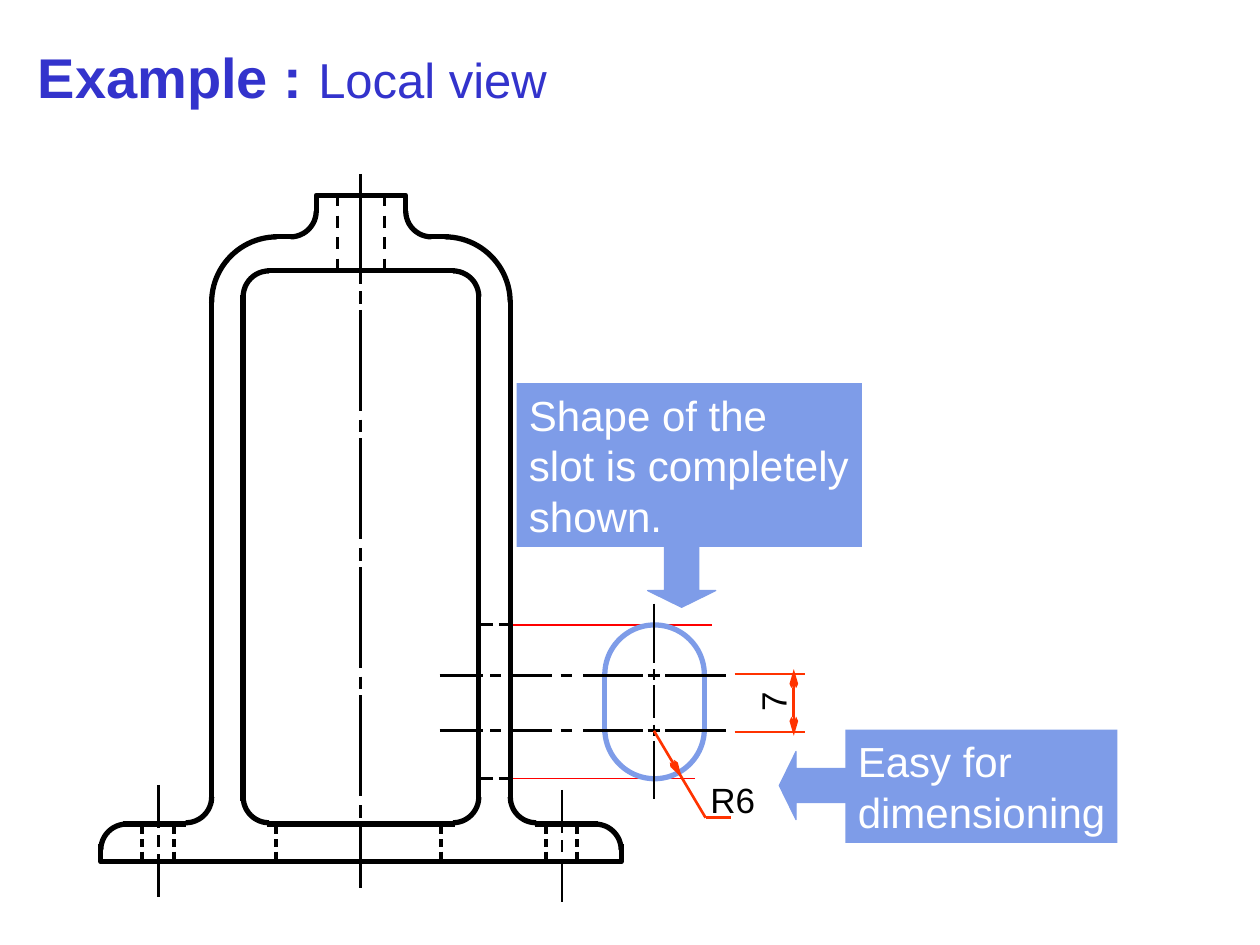
import dataclasses

import pptx
import pptx.dml.color
import pptx.enum.dml
import pptx.enum.shapes
import pptx.enum.text
import pptx.oxml
import pptx.oxml.ns
import pptx.util

SHAPE = pptx.enum.shapes.MSO_SHAPE
COLUMNS, ROWS = 100, 75


@dataclasses.dataclass(frozen=True)
class Theme:
    font: str = "Arial"
    title: str = "3333CC"
    ink: str = "000000"
    callout: str = "7E9CE8"
    callout_text: str = "FFFFFF"
    projection: str = "FF0000"
    dimension: str = "FF3300"
    title_size: float = 32
    subtitle_size: float = 28
    callout_size: float = 24
    label_size: float = 20
    outline: float = 3
    hidden: float = 2.25
    fine_hidden: float = 1.75
    centre: float = 1.5
    thin: float = 0.75


def rgb(value):
    return pptx.dml.color.RGBColor.from_string(value)


def add_text(paragraph, text, *, font, size, color, bold=False):
    run = paragraph.add_run()
    run.text = text
    run.font.name = font
    run.font.size = pptx.util.Pt(size)
    run.font.bold = bold
    run.font.color.rgb = rgb(color)


class Drawing:
    def __init__(self, presentation, theme):
        self.theme = theme
        self.slide = presentation.slides.add_slide(presentation.slide_layouts[5])
        self.column = presentation.slide_width / COLUMNS
        self.row = presentation.slide_height / ROWS

    def place(self, column, row):
        return round(column * self.column), round(row * self.row)

    def box(self, left, top, width, height):
        return *self.place(left, top), *self.place(width, height)

    def style_line(self, shape, color, weight):
        shape.line.color.rgb = rgb(color)
        shape.line.width = pptx.util.Pt(weight)

    def style_frame(self, frame):
        frame.word_wrap = False
        frame.auto_size = pptx.enum.text.MSO_AUTO_SIZE.NONE
        frame.vertical_anchor = pptx.enum.text.MSO_ANCHOR.TOP
        frame.paragraphs[0].alignment = pptx.enum.text.PP_ALIGN.LEFT

    def title(self, area, heading, subject):
        title = self.slide.shapes.title
        title.left, title.top, title.width, title.height = self.box(*area)
        self.style_frame(title.text_frame)
        paragraph = title.text_frame.paragraphs[0]
        style = {"font": self.theme.font, "color": self.theme.title}
        add_text(paragraph, heading, size=self.theme.title_size, bold=True, **style)
        add_text(paragraph, subject, size=self.theme.subtitle_size, **style)

    def line(self, start, end, color, weight, heads=(), dashed=False):
        line = self.slide.shapes.add_connector(
            pptx.enum.shapes.MSO_CONNECTOR.STRAIGHT, *self.place(*start), *self.place(*end))
        self.style_line(line, color, weight)
        if dashed:
            line.line.dash_style = pptx.enum.dml.MSO_LINE.DASH
        for head in heads:
            line.line._get_or_add_ln().append(pptx.oxml.parse_xml(
                f'<a:{head} {pptx.oxml.ns.nsdecls("a")} type="arrow" w="sm" len="lg"/>'))
        line._element.spPr.append(pptx.oxml.parse_xml(
            f'<a:effectLst {pptx.oxml.ns.nsdecls("a")}/>'))

    def verticals(self, column, spans, weight):
        for top, bottom in spans:
            self.line((column, top), (column, bottom), self.theme.ink, weight)

    def horizontals(self, row, spans, weight):
        for left, right in spans:
            self.line((left, row), (right, row), self.theme.ink, weight)

    def arc(self, left, top, diameter, start, sweep, color):
        arc = self.slide.shapes.add_shape(SHAPE.ARC, *self.box(left, top, diameter, diameter))
        arc.adjustments[0] = start * 0.6
        arc.adjustments[1] = (start + sweep) % 360 * 0.6
        arc.shadow.inherit = False
        arc.fill.background()
        self.style_line(arc, color, self.theme.outline)

    def outline(self, points):
        places = [self.place(*point) for point in points]
        builder = self.slide.shapes.build_freeform(*places[0])
        builder.add_line_segments(places[1:], close=False)
        shape = builder.convert_to_shape()
        shape.shadow.inherit = False
        shape.fill.background()
        self.style_line(shape, self.theme.ink, self.theme.outline)

    def label(self, area, text, rotation=0):
        label = self.slide.shapes.add_textbox(*self.box(*area))
        label.rotation = rotation
        self.style_frame(label.text_frame)
        add_text(label.text_frame.paragraphs[0], text, font=self.theme.font,
                 size=self.theme.label_size, color=self.theme.ink)

    def callout(self, area, lines, arrow_area, rotation=0):
        panel = self.slide.shapes.add_shape(SHAPE.RECTANGLE, *self.box(*area))
        arrow = self.slide.shapes.add_shape(SHAPE.DOWN_ARROW, *self.box(*arrow_area))
        for shape in (panel, arrow):
            shape.shadow.inherit = False
            shape.fill.solid()
            shape.fill.fore_color.rgb = rgb(self.theme.callout)
        panel.line.fill.background()
        self.style_line(arrow, self.theme.callout, self.theme.thin)
        arrow.adjustments[1] = 0.25
        arrow.rotation = rotation
        frame = panel.text_frame
        self.style_frame(frame)
        for index, text in enumerate(lines):
            paragraph = frame.add_paragraph() if index else frame.paragraphs[0]
            paragraph.alignment = pptx.enum.text.PP_ALIGN.LEFT
            add_text(paragraph, text, font=self.theme.font,
                     size=self.theme.callout_size, color=self.theme.callout_text)


def draw_slot(drawing):
    theme = drawing.theme
    for top, start in ((49.6, 180), (53.9, 0)):
        drawing.arc(48, top, 7.9, start, 180, theme.callout)
    for column in (48, 55.9):
        drawing.line((column, 53.4), (column, 58.2), theme.callout, theme.outline)
    drawing.verticals(51.9, ((47.9, 52.6), (53.1, 54), (54.4, 57), (57.5, 58.4),
                             (58.8, 63.4)), theme.centre)
    for row in (53.6, 58):
        drawing.horizontals(row, ((34.9, 38.3), (38.9, 39.8), (40.4, 43.8), (44.5, 45.4),
                                  (46.3, 51), (51.4, 52.4), (52.8, 57.6)), theme.centre)


def draw_bracket(drawing):
    theme = drawing.theme
    axis = 28.65
    arcs = ((12.7, 61.2, 4.1, 0), (8, 65.4, 4.1, 180), (16.8, 18.8, 10.4, 180),
            (21, 14.7, 4.1, 0), (19.3, 61.2, 4.1, 90), (19.3, 21.5, 4.1, 180))
    for left, top, diameter, start in arcs:
        drawing.arc(left, top, diameter, start, 90, theme.ink)
        drawing.arc(2 * axis - left - diameter, top, diameter,
                    (90 - start) % 360, 90, theme.ink)
    profile = (((9.8, 65.4), (14.8, 65.4)), ((16.8, 63.7), (16.8, 23.8)),
               ((21.7, 18.8), (23.1, 18.8)), ((19.3, 23.4), (19.3, 63.6)),
               ((8, 67), (8, 68.4), (axis, 68.4)), ((25.1, 16.8), (25.1, 15.5), (axis, 15.5)),
               ((21.2, 65.4), (axis, 65.4)), ((21.2, 21.5), (axis, 21.5)))
    for points in profile:
        drawing.outline(points)
        drawing.outline([(2 * axis - column, row) for column, row in points])

    for column in (11.3, 13.8, 21.9, 35, 43.3, 45.8):
        drawing.verticals(column, ((65.5, 66.2), (66.6, 67.2), (67.6, 68.3)), theme.hidden)
    for row in (49.6, 61.8):
        drawing.horizontals(row, ((38.2, 39.1), (39.6, 40.5)), theme.fine_hidden)
    for column in (26.8, 30.5):
        drawing.line((column, 15.4), (column, 21.6), theme.ink, theme.fine_hidden, dashed=True)
    for column, top in ((12.6, 62.3), (44.6, 62.7)):
        drawing.verticals(column, [(top + start, top + end) for start, end in
                                   ((0, 3.4), (4, 4.9), (5.5, 8.9))], theme.centre)
    period = 10.2
    long_dashes = [(24.6 + period * step, 32.6 + period * step) for step in range(4)]
    short_dashes = [(23.1 + period * step, 24.1 + period * step) for step in range(5)]
    drawing.verticals(28.6, [(13.8, 22.5), *long_dashes, *short_dashes, (65.6, 70.5)],
                      theme.centre)


def draw_dimensions(drawing):
    theme = drawing.theme
    for start, end, heads in (
            ((51.9, 58), (54.1, 61.7), ["tailEnd"]),
            ((53.8, 61.2), (56, 64.9), []),
            ((56, 64.9), (58, 64.9), []),
            ((58.3, 53.5), (63.9, 53.5), []),
            ((58.3, 58.1), (63.9, 58.1), []),
            ((63, 53.1), (63, 58.4), ["headEnd", "tailEnd"])):
        drawing.line(start, end, theme.dimension, theme.centre, heads)
    drawing.label((55.4, 61.3, 5.5, 4.4), "R6")
    drawing.label((59.6, 53.5, 3.5, 4.4), "7", rotation=270)


def main():
    presentation = pptx.Presentation()
    presentation.slide_width = pptx.util.Inches(10)
    presentation.slide_height = pptx.util.Inches(7.5)
    theme = Theme()
    drawing = Drawing(presentation, theme)
    drawing.title((2, 2.9, 42.4, 6.4), "Example : ", "Local view")
    for row, end in ((61.8, 55.2), (49.6, 56.5)):
        drawing.line((40.5, row), (end, row), theme.projection, theme.thin)
    draw_slot(drawing)
    draw_bracket(drawing)
    drawing.callout((41, 30.4, 27.4, 13), ("Shape of the", "slot is completely", "shown."),
                    (51.4, 42.9, 5.4, 5.3))
    draw_dimensions(drawing)
    drawing.callout((67.1, 57.9, 21.6, 9), ("Easy for", "dimensioning"),
                    (61.8, 59.7, 5.4, 5.3), rotation=90)
    presentation.save("out.pptx")


if __name__ == "__main__":
    main()
